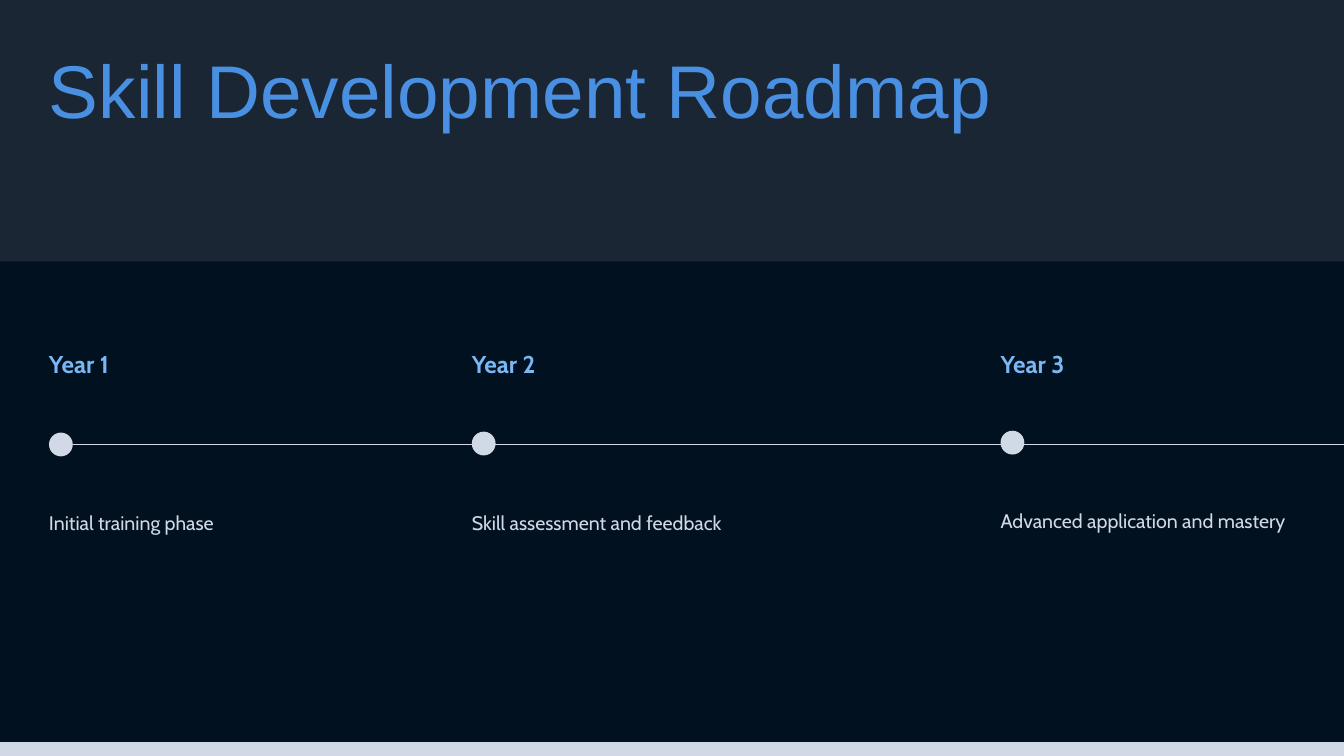
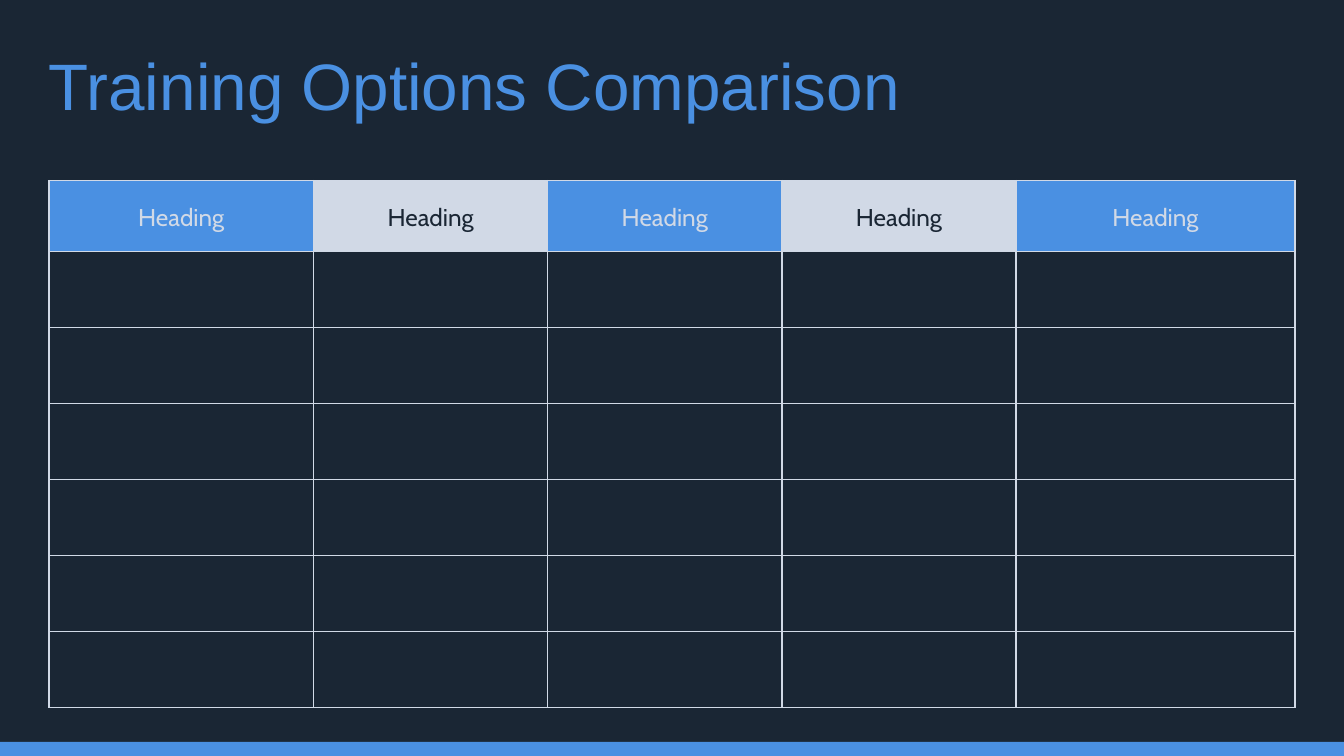
from dataclasses import dataclass

from lxml.etree import SubElement
from pptx import Presentation
from pptx.dml.color import RGBColor
from pptx.enum.shapes import MSO_CONNECTOR, MSO_SHAPE
from pptx.enum.text import MSO_ANCHOR, MSO_AUTO_SIZE, PP_ALIGN
from pptx.oxml.ns import qn
from pptx.util import Pt


@dataclass(frozen=True)
class Theme:
    background: str = "1A2634"
    panel: str = "02111F"
    pale: str = "D1D9E6"
    accent: str = "4A90E2"
    year: str = "7AB8F5"
    title_font: str = "Arial"
    body_font: str = "Cabin"
    heading_size: float = 26
    note_size: float = 21
    rule_width: float = 1.5


THEME = Theme()
WIDTH, HEIGHT = 1440, 810
MARGIN = 52.5
TITLE_TOP = 54.7
FOOTER_HEIGHT = 15.1

ROADMAP = {
    "title": "Skill Development Roadmap", "title_size": 80, "title_leading": 88,
    "title_width": 1222, "footer": THEME.pale,
}
MILESTONES = [
    ("Year 1", "Initial training phase", MARGIN, 463.5, 543.6, 227),
    ("Year 2", "Skill assessment and feedback", 505.5, 462.5, 543.6, 265),
    ("Year 3", "Advanced application and mastery", 1072, 461.5, 541.4, 265),
]
PANEL_TOP = 280
YEAR_TOP = 373.7
DOT_SIZE = 25.5
TIMELINE_Y = 476
TIMELINE_END = 1492
NOTE_WIDTH = 316

COMPARISON = {
    "title": "Training Options Comparison", "title_size": 70.3, "title_leading": 77.4,
    "title_width": 1109, "footer": THEME.accent,
}
HEADINGS = ["Heading"] * 5
HEADING_COLORS = [(THEME.accent, THEME.pale), (THEME.pale, THEME.background)]
OPTION_ROWS = 6
TABLE_TOP = 193.5
COLUMN_WIDTHS = [283.5, 250.9, 250.9, 250.9, 298.8]
HEADING_HEIGHT, ROW_HEIGHT = 75.6, 81.45
CELL_INSET = 13.5


def color(value):
    return RGBColor.from_string(value)


def style_text(paragraph, font, size, ink, leading, bold=False, align=PP_ALIGN.LEFT):
    paragraph.alignment = align
    paragraph.line_spacing = Pt(leading)
    paragraph.space_before = Pt(0)
    for run in paragraph.runs:
        run.font.name = font
        run.font.size = Pt(size)
        run.font.bold = bold
        run.font.color.rgb = color(ink)


def fill_frame(frame, text):
    frame.text = text
    frame.word_wrap = True
    frame.auto_size = MSO_AUTO_SIZE.SHAPE_TO_FIT_TEXT
    frame.vertical_anchor = MSO_ANCHOR.TOP
    frame.margin_left = frame.margin_right = frame.margin_top = frame.margin_bottom = 0
    return frame.paragraphs[0]


def add_label(slide, text, left, top, width, size, ink, leading, bold=False):
    label = slide.shapes.add_textbox(Pt(left), Pt(top), Pt(width), Pt(leading))
    style_text(fill_frame(label.text_frame, text), THEME.body_font, size, ink, leading, bold)


def add_block(slide, kind, left, top, width, height, fill):
    block = slide.shapes.add_shape(kind, Pt(left), Pt(top), Pt(width), Pt(height))
    block.shadow.inherit = False
    block.fill.solid()
    block.fill.fore_color.rgb = color(fill)
    block.line.fill.background()


def start_slide(deck, content):
    slide = deck.slides.add_slide(deck.slide_layouts[5])
    slide.background.fill.solid()
    slide.background.fill.fore_color.rgb = color(THEME.background)
    title = slide.shapes.title
    title.left, title.top = Pt(MARGIN), Pt(TITLE_TOP)
    title.width, title.height = Pt(content["title_width"]), Pt(content["title_leading"] + 5)
    style_text(fill_frame(title.text_frame, content["title"]), THEME.title_font,
               content["title_size"], THEME.accent, content["title_leading"])
    add_block(slide, MSO_SHAPE.RECTANGLE, 0, HEIGHT - FOOTER_HEIGHT, WIDTH, FOOTER_HEIGHT,
              content["footer"])
    return slide


def add_timeline(slide):
    timeline = slide.shapes.add_connector(
        MSO_CONNECTOR.STRAIGHT, Pt(MARGIN + DOT_SIZE), Pt(TIMELINE_Y),
        Pt(TIMELINE_END), Pt(TIMELINE_Y))
    timeline.line.color.rgb = color(THEME.pale)
    timeline.line.width = Pt(THEME.rule_width)
    SubElement(timeline._element.spPr, qn("a:effectLst"))


def build_roadmap(deck):
    slide = start_slide(deck, ROADMAP)
    add_block(slide, MSO_SHAPE.RECTANGLE, 0, PANEL_TOP, WIDTH,
              HEIGHT - FOOTER_HEIGHT - PANEL_TOP, THEME.panel)
    add_timeline(slide)
    for year, note, left, dot_top, note_top, year_width in MILESTONES:
        add_block(slide, MSO_SHAPE.OVAL, left, dot_top, DOT_SIZE, DOT_SIZE, THEME.pale)
        add_label(slide, year, left, YEAR_TOP, year_width, THEME.heading_size,
                  THEME.year, 31.2, bold=True)
        add_label(slide, note, left, note_top, NOTE_WIDTH, THEME.note_size, THEME.pale, 29.4)


def style_cell(cell, fill):
    properties = cell._tc.get_or_add_tcPr()
    for side in ("a:lnL", "a:lnR", "a:lnT", "a:lnB"):
        border = SubElement(properties, qn(side), w=str(Pt(THEME.rule_width)))
        SubElement(SubElement(border, qn("a:solidFill")), qn("a:srgbClr"), val=THEME.pale)
    cell.fill.solid()
    cell.fill.fore_color.rgb = color(fill)


def build_comparison(deck):
    slide = start_slide(deck, COMPARISON)
    heights = [HEADING_HEIGHT] + [ROW_HEIGHT] * OPTION_ROWS
    options = slide.shapes.add_table(
        len(heights), len(HEADINGS), Pt(MARGIN), Pt(TABLE_TOP),
        Pt(sum(COLUMN_WIDTHS)), Pt(sum(heights))).table
    options.first_row = options.horz_banding = False
    for column, width in zip(options.columns, COLUMN_WIDTHS):
        column.width = Pt(width)
    for row, height in zip(options.rows, heights):
        row.height = Pt(height)
        for cell in row.cells:
            style_cell(cell, THEME.background)
    for index, heading in enumerate(HEADINGS):
        fill, ink = HEADING_COLORS[index % 2]
        cell = options.cell(0, index)
        cell.fill.fore_color.rgb = color(fill)
        cell.text_frame.text = heading
        cell.vertical_anchor = MSO_ANCHOR.MIDDLE
        cell.margin_left = cell.margin_right = Pt(CELL_INSET)
        cell.margin_top = cell.margin_bottom = Pt(CELL_INSET)
        style_text(cell.text_frame.paragraphs[0], THEME.body_font, THEME.heading_size,
                   ink, 36.4, align=PP_ALIGN.CENTER)


def main():
    deck = Presentation()
    deck.slide_width, deck.slide_height = Pt(WIDTH), Pt(HEIGHT)
    build_roadmap(deck)
    build_comparison(deck)
    deck.save("out.pptx")


if __name__ == "__main__":
    main()
